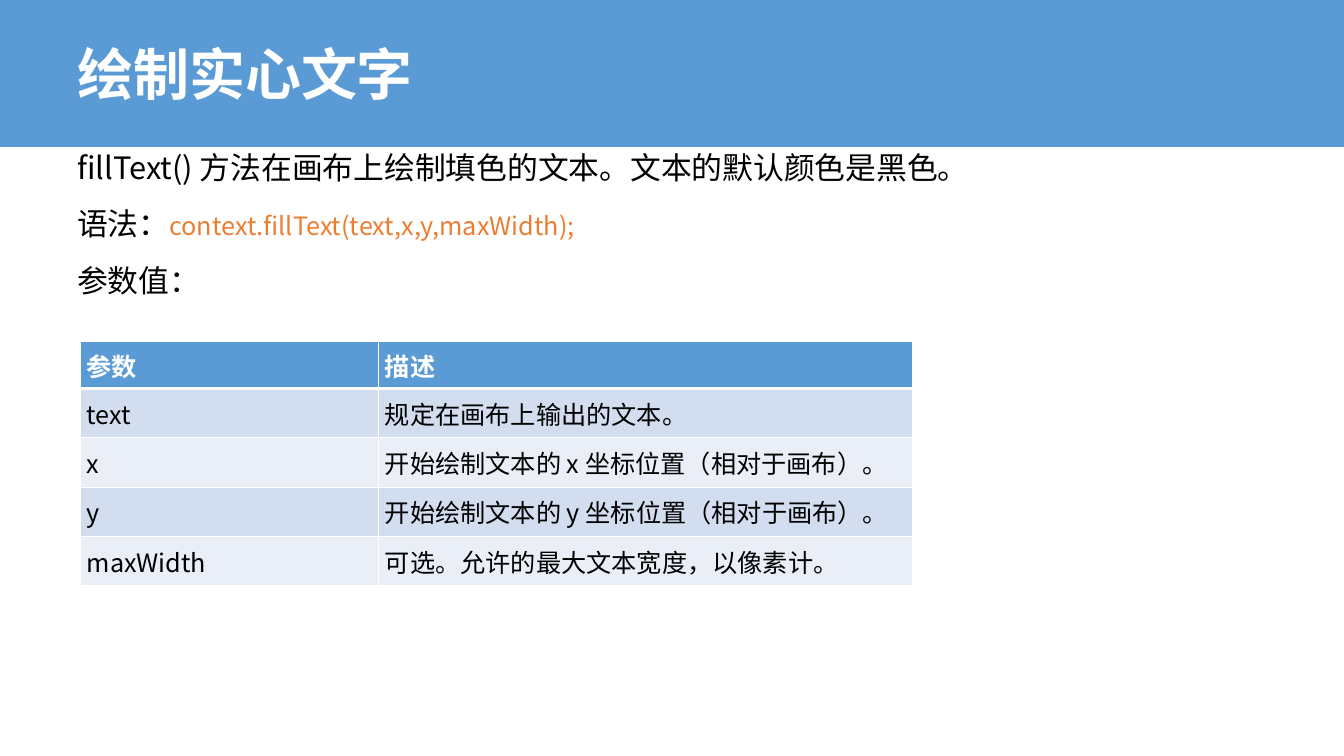
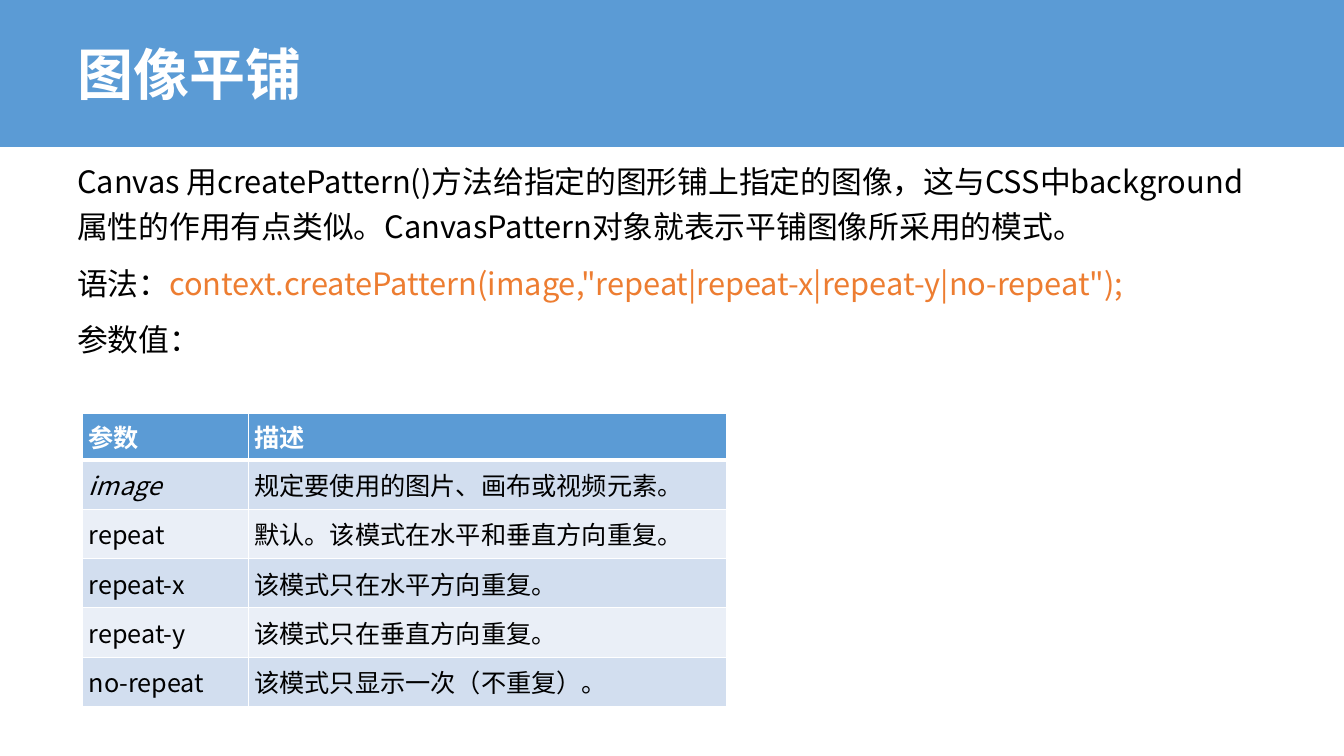
from lxml import etree
from pptx import Presentation
from pptx.dml.color import RGBColor
from pptx.enum.shapes import MSO_SHAPE
from pptx.enum.text import MSO_ANCHOR, MSO_AUTO_SIZE, PP_ALIGN
from pptx.oxml.ns import qn
from pptx.util import Inches, Pt

RECTANGLE = MSO_SHAPE.RECTANGLE
MIDDLE, TOP = MSO_ANCHOR.MIDDLE, MSO_ANCHOR.TOP
LEFT = PP_ALIGN.LEFT
NO_AUTOFIT = MSO_AUTO_SIZE.NONE
TITLE_AND_CONTENT = 1

UNITS_PER_INCH = 12
COLUMNS, ROWS = 160, 90
FONT = "Noto Sans CJK SC"
BLUE, ORANGE, WHITE, BLACK = "5B9BD5", "ED7D31", "FFFFFF", "000000"
STRIPES = ("D2DEEF", "EAEFF7")
TIGHT, WIDE = 0.85, 1.23


def colour(value):
    return RGBColor.from_string(value)


def grid(units):
    return Inches(units / UNITS_PER_INCH)


def apply(target, **values):
    for name, value in values.items():
        setattr(target, name, value)


class SlideBuilder:
    title_box = (8, 0, 141, 17.5)
    body_box = (8, 17.75, 144, 70)
    heading_height, row_height = 5.5, 5.88

    def __init__(self):
        self.deck = Presentation()
        apply(self.deck, slide_width=grid(COLUMNS), slide_height=grid(ROWS))
        self.page = None

    def place(self, box, bounds):
        names = ("left", "top", "width", "height")
        apply(box, **dict(zip(names, map(grid, bounds))))

    def add_span(self, para, text, size, tint=BLACK, bold=False, italic=False):
        span = para.add_run()
        span.text = text
        apply(span.font, size=Pt(size), bold=bold, italic=italic, name=FONT)
        span.font.color.rgb = colour(tint)

    def start(self, title):
        layout = self.deck.slide_layouts[TITLE_AND_CONTENT]
        self.page = self.deck.slides.add_slide(layout)
        self.band()
        box = self.page.shapes.title
        self.place(box, self.title_box)
        apply(box.text_frame, vertical_anchor=MIDDLE, word_wrap=True,
              auto_size=NO_AUTOFIT)
        para = box.text_frame.paragraphs[0]
        para.alignment = LEFT
        self.add_span(para, title, 40, WHITE, bold=True)

    def band(self):
        band = self.page.shapes.add_shape(
            RECTANGLE, 0, 0, grid(COLUMNS), grid(self.title_box[3]))
        band.fill.solid()
        band.fill.fore_color.rgb = colour(BLUE)
        band.line.fill.background()
        band.shadow.inherit = False
        self.page.shapes.element.insert(2, band.element)

    def body(self, intro, spacing, syntax, syntax_size):
        box = self.page.placeholders[1]
        self.place(box, self.body_box)
        frame = box.text_frame
        apply(frame, vertical_anchor=TOP, word_wrap=True, auto_size=NO_AUTOFIT)
        lines = (
            (spacing, [(intro, 22)]),
            (TIGHT, [("语法：", 22), (syntax, syntax_size, ORANGE)]),
            (TIGHT, [("参数值：", 22)]),
        )
        for index, (line_spacing, spans) in enumerate(lines):
            para = frame.add_paragraph() if index else frame.paragraphs[0]
            apply(para, line_spacing=line_spacing, space_before=Pt(6),
                  space_after=Pt(12), alignment=LEFT)
            for span in spans:
                self.add_span(para, *span)
        for properties in box.element.iter(qn("a:pPr")):
            properties.set("marL", "0")
            properties.set("indent", "0")
            etree.SubElement(properties, qn("a:buNone"))

    def table(self, left, top, widths, rows, italic_names=()):
        heights = [self.heading_height] + [self.row_height] * len(rows)
        frame = self.page.shapes.add_table(
            len(heights), len(widths), grid(left), grid(top),
            grid(sum(widths)), grid(sum(heights)))
        table = frame.table
        for column, width in zip(table.columns, widths):
            column.width = grid(width)
        for index, texts in enumerate([("参数", "描述"), *rows]):
            table.rows[index].height = grid(heights[index])
            heading = index == 0
            margin = grid(0.6 if heading else 0.72)
            for cell, text in zip(table.rows[index].cells, texts):
                apply(cell, margin_left=grid(0.72), margin_right=grid(1.92),
                      margin_top=margin, margin_bottom=margin,
                      vertical_anchor=MIDDLE)
                cell.fill.solid()
                cell.fill.fore_color.rgb = colour(
                    BLUE if heading else STRIPES[(index - 1) % 2])
                self.add_span(cell.text_frame.paragraphs[0], text, 18,
                              WHITE if heading else BLACK, bold=heading,
                              italic=text in italic_names)
        self.borders(frame, len(widths))

    def borders(self, frame, column_count):
        for index, properties in enumerate(frame.element.iter(qn("a:tcPr"))):
            row = index // column_count
            weights = {"L": 1, "R": 1, "T": 3 if row == 1 else 1,
                       "B": 3 if row == 0 else 1}
            for position, (side, weight) in enumerate(weights.items()):
                line = etree.Element(qn("a:ln" + side), w=str(Pt(weight)))
                fill = etree.SubElement(line, qn("a:solidFill"))
                etree.SubElement(fill, qn("a:srgbClr"), val=WHITE)
                properties.insert(position, line)

    def finish(self):
        for page in self.deck.slides:
            for properties in page.element.iter(qn("a:rPr")):
                etree.SubElement(properties, qn("a:ea"), typeface=FONT)


def main():
    builder = SlideBuilder()

    builder.start("绘制实心文字")
    builder.body("fillText() 方法在画布上绘制填色的文本。文本的默认颜色是黑色。",
                 TIGHT, "context.fillText(text,x,y,maxWidth);", 18)
    builder.table(9.6, 40.7, (35.5, 63.5), [
        ("text", "规定在画布上输出的文本。"),
        ("x", "开始绘制文本的 x 坐标位置（相对于画布）。"),
        ("y", "开始绘制文本的 y 坐标位置（相对于画布）。"),
        ("maxWidth", "可选。允许的最大文本宽度，以像素计。"),
    ])

    builder.start("图像平铺")
    builder.body("Canvas 用createPattern()方法给指定的图形铺上指定的图像，"
                 "这与CSS中background属性的作用有点类似。"
                 "CanvasPattern对象就表示平铺图像所采用的模式。", WIDE,
                 'context.createPattern(image,"repeat|repeat-x|repeat-y|no-repeat");',
                 22)
    builder.table(9.85, 49.2, (19.7, 56.9), [
        ("image", "规定要使用的图片、画布或视频元素。"),
        ("repeat", "默认。该模式在水平和垂直方向重复。"),
        ("repeat-x", "该模式只在水平方向重复。"),
        ("repeat-y", "该模式只在垂直方向重复。"),
        ("no-repeat", "该模式只显示一次（不重复）。"),
    ], italic_names=("image",))

    builder.finish()
    builder.deck.save("out.pptx")


if __name__ == "__main__":
    main()
